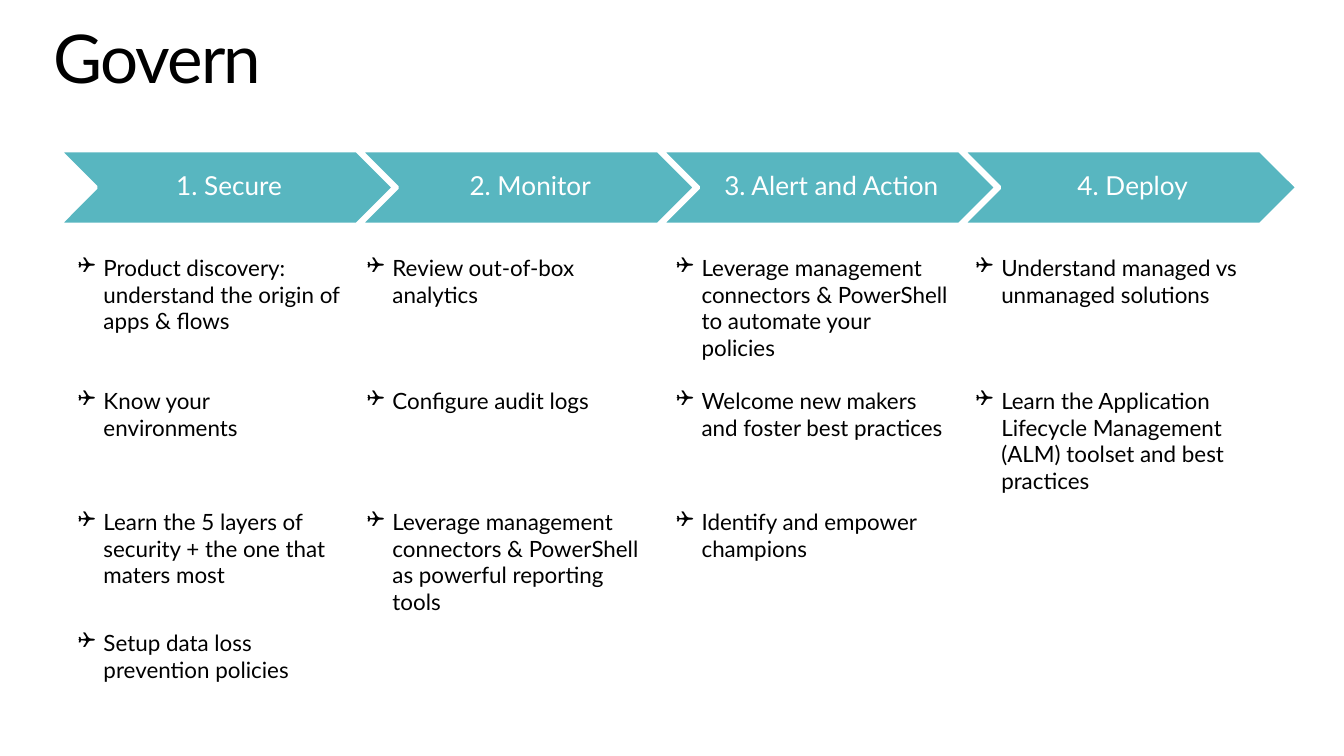
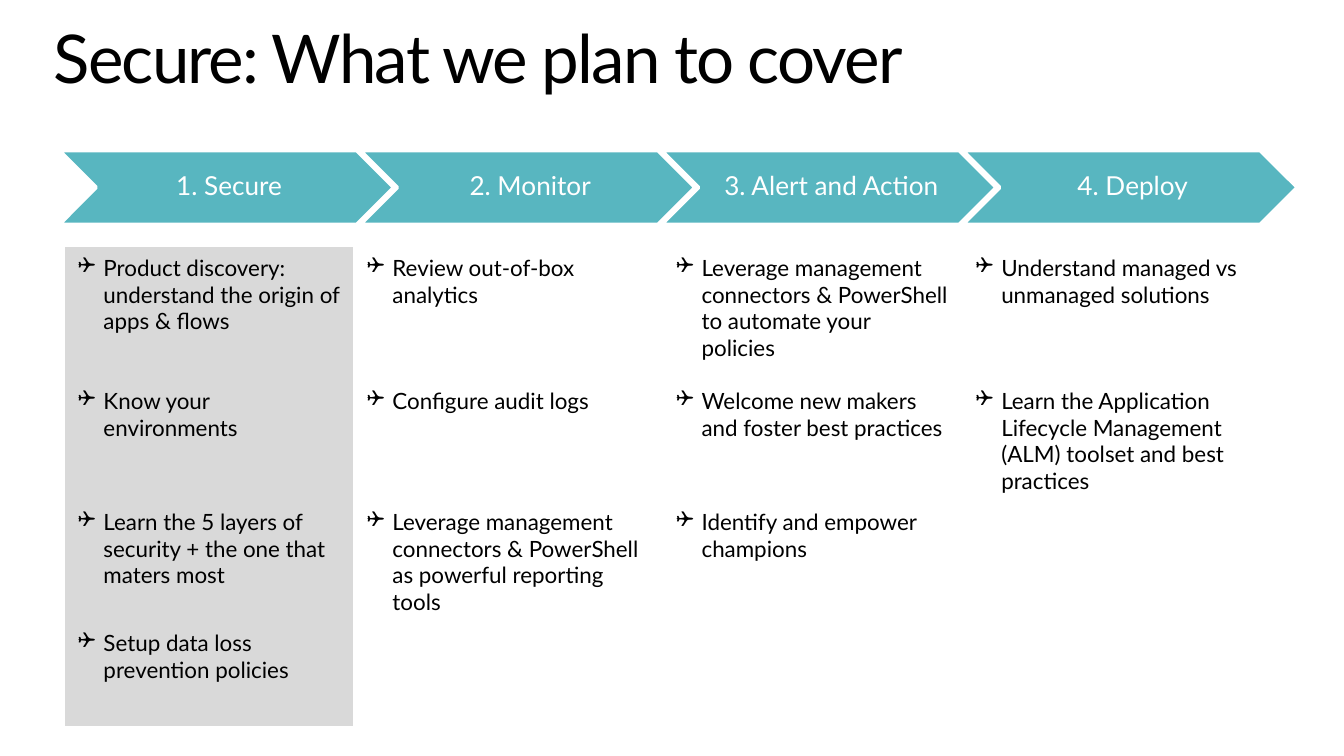
from lxml import etree
from pptx import Presentation
from pptx.dml.color import RGBColor
from pptx.enum.shapes import MSO_SHAPE
from pptx.enum.text import MSO_ANCHOR, MSO_AUTO_SIZE, PP_ALIGN
from pptx.oxml.ns import qn
from pptx.util import Inches, Pt

# Content: each slide has a title and, optionally, fills for some columns
BLACK = RGBColor(0x00, 0x00, 0x00)
WHITE = RGBColor(0xFF, 0xFF, 0xFF)
TEAL = RGBColor(0x58, 0xB6, 0xC0)
GREY = RGBColor(0xD9, 0xD9, 0xD9)

SLIDES = [
    ("Govern", {}),
    ("Secure: What we plan to cover", {0: GREY, 1: WHITE}),
]
STAGES = ["1. Secure", "2. Monitor", "3. Alert and Action", "4. Deploy"]
TASKS = [
    ["Product discovery: understand the origin of apps & flows",
     "Review out-of-box analytics",
     "Leverage management connectors & PowerShell to automate your policies",
     "Understand managed vs unmanaged solutions"],
    ["Know your environments",
     "Configure audit logs",
     "Welcome new makers and foster best practices",
     "Learn the Application Lifecycle Management (ALM) toolset and best practices"],
    ["Learn the 5 layers of security + the one that maters most",
     "Leverage management connectors & PowerShell as powerful reporting tools",
     "Identify and empower champions"],
    ["Setup data loss prevention policies"],
]

# Shared look, lengths in inches
FONT = "Lato"
BULLET_FONT = "Wingdings"
PLAIN_TABLE = "{2D5ABB26-0587-4C30-8999-92F81FD0307C}"
TITLE_ONLY = 5
CHEVRON = MSO_SHAPE.CHEVRON
TOP, MIDDLE = MSO_ANCHOR.TOP, MSO_ANCHOR.MIDDLE
LEFT, CENTER = PP_ALIGN.LEFT, PP_ALIGN.CENTER
GROW = MSO_AUTO_SIZE.SHAPE_TO_FIT_TEXT

SLIDE_WIDTH = 10
SLIDE_HEIGHT = SLIDE_WIDTH * 9 / 16
TITLE_AREA = (0.4, 0.19, 9.27, 0.55)
BAND_LEFT, BAND_TOP, BAND_HEIGHT = 0.44, 1.12, 0.55
CHEVRON_WIDTH = 2.49
CHEVRON_STEP = CHEVRON_WIDTH * 0.9
NOTCH = BAND_HEIGHT / 2
TABLE_LEFT, TABLE_TOP = 0.48, 1.84
COLUMN_WIDTHS = [2.15, 2.3, 2.23, 2.44]
ROW_HEIGHTS = [0.99, 0.81, 0.9, 0.77]
BULLET_INDENT = Inches(0.19)


def area(*lengths):
    return [Inches(length) for length in lengths]


def apply(target, formats):
    for name, value in formats.items():
        setattr(target, name, value)


def write(para, text, size, color):
    span = para.add_run()
    span.text = text
    apply(span.font, {"name": FONT, "size": Pt(size)})
    span.font.color.rgb = color
    return span


def set_insets(frame, left, top, right, bottom):
    apply(frame, {"margin_left": Inches(left), "margin_top": Inches(top),
                  "margin_right": Inches(right), "margin_bottom": Inches(bottom)})


def add_title(page, text):
    title = page.shapes.title
    apply(title, dict(zip(("left", "top", "width", "height"), area(*TITLE_AREA))))
    frame = title.text_frame
    set_insets(frame, 0, 0, 0, 0)
    apply(frame, {"vertical_anchor": TOP, "auto_size": GROW, "word_wrap": True})
    para = frame.paragraphs[0]
    apply(para, {"alignment": LEFT, "line_spacing": 0.9})
    span = write(para, text, 36, BLACK)
    span.font._element.set("spc", "-100")


def add_stage_band(page):
    band = page.shapes.add_group_shape().shapes
    for index, stage in enumerate(STAGES):
        left = BAND_LEFT + index * CHEVRON_STEP
        arrow = band.add_shape(
            CHEVRON, *area(left, BAND_TOP, CHEVRON_WIDTH, BAND_HEIGHT))
        arrow.shadow.inherit = False
        arrow.fill.solid()
        arrow.fill.fore_color.rgb = TEAL
        arrow.line.color.rgb = WHITE
        arrow.line.width = Pt(2)

        # The label sits between the notch and the tip
        box = band.add_textbox(*area(
            left + NOTCH, BAND_TOP, CHEVRON_WIDTH - 2 * NOTCH, BAND_HEIGHT))
        frame = box.text_frame
        set_insets(frame, 0.06, 0.02, 0.02, 0.02)
        apply(frame, {"vertical_anchor": MIDDLE, "word_wrap": True})
        para = frame.paragraphs[0]
        apply(para, {"alignment": CENTER, "line_spacing": 0.9})
        write(para, stage, 14, WHITE)


def add_bullet(para):
    props = para._p.get_or_add_pPr()
    props.set("marL", str(BULLET_INDENT))
    props.set("indent", str(-BULLET_INDENT))
    etree.SubElement(props, qn("a:buFont")).set("typeface", BULLET_FONT)
    etree.SubElement(props, qn("a:buChar")).set("char", "❑")


def add_task_table(page, column_fills):
    table = page.shapes.add_table(
        len(ROW_HEIGHTS), len(COLUMN_WIDTHS),
        *area(TABLE_LEFT, TABLE_TOP, sum(COLUMN_WIDTHS), sum(ROW_HEIGHTS))).table
    apply(table, {"first_row": False, "horz_banding": False})
    table._tbl.tblPr.find(qn("a:tableStyleId")).text = PLAIN_TABLE
    for column, width in zip(table.columns, COLUMN_WIDTHS):
        column.width = Inches(width)
    for row, height in zip(table.rows, ROW_HEIGHTS):
        row.height = Inches(height)

    for row, tasks in zip(table.rows, TASKS):
        for index, cell in enumerate(row.cells):
            if index in column_fills:
                cell.fill.solid()
                cell.fill.fore_color.rgb = column_fills[index]
            else:
                cell.fill.background()
            if index < len(tasks):
                para = cell.text_frame.paragraphs[0]
                add_bullet(para)
                write(para, tasks[index], 12, BLACK)


def main():
    deck = Presentation()
    deck.slide_width, deck.slide_height = area(SLIDE_WIDTH, SLIDE_HEIGHT)
    for title, column_fills in SLIDES:
        page = deck.slides.add_slide(deck.slide_layouts[TITLE_ONLY])
        add_title(page, title)
        add_stage_band(page)
        add_task_table(page, column_fills)
    deck.save("out.pptx")


if __name__ == "__main__":
    main()
